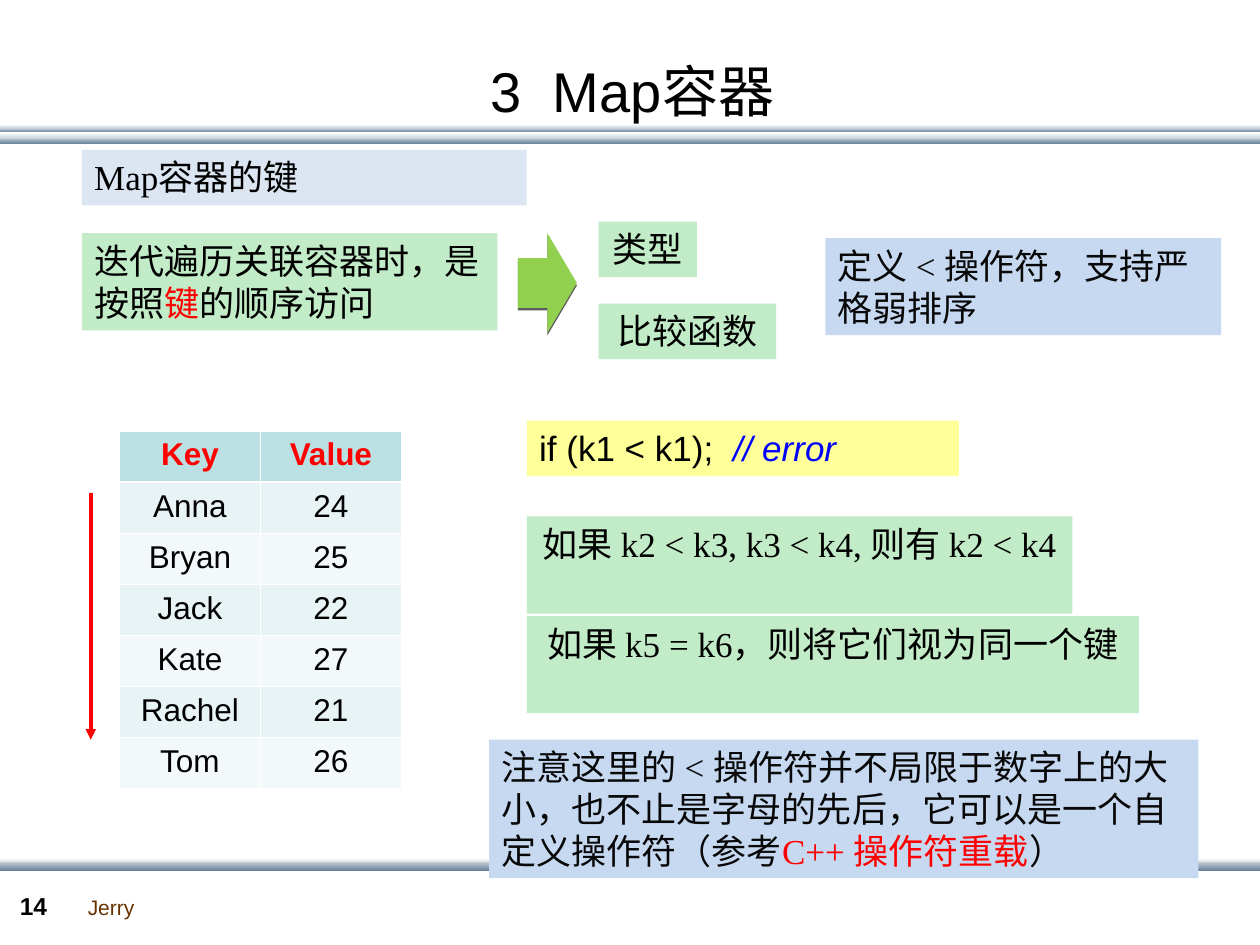
"""Build the slide about the keys of the Map container."""
from dataclasses import dataclass
from typing import Any, Optional

from lxml.etree import SubElement
from pptx import Presentation
from pptx.dml.color import RGBColor
from pptx.enum.shapes import MSO_CONNECTOR as Connector, MSO_SHAPE as Preset
from pptx.enum.text import MSO_ANCHOR as Anchor, MSO_AUTO_SIZE as AutoSize, PP_ALIGN as Align
from pptx.oxml import parse_xml
from pptx.oxml.ns import nsdecls, qn
from pptx.util import Cm, Pt

SERIF, SANS = "Times New Roman", "Arial"
BLACK, INK, RED, BLUE, WHITE = "000000", "080808", "FF0000", "0000FF", "FFFFFF"
GREEN, PALE_BLUE, SILVER, STEEL = "C2EBC7", "C6D9F1", "C8D1DA", "6A839C"


@dataclass(frozen=True)
class Phrase:
    text: str
    color: str = BLACK
    italic: bool = False
    bold: bool = False


@dataclass(frozen=True)
class Box:
    left: float
    top: float
    width: float
    height: float
    phrases: tuple[Phrase, ...]
    fill: Optional[str] = GREEN
    align: Align = Align.LEFT
    font: str = SERIF
    size: int = 20
    wrap: bool = True


@dataclass(frozen=True)
class Band:
    top: float
    height: float
    start: str
    end: str


BANDS = (
    Band(2.77, 0.13, SILVER, STEEL),
    Band(2.59, 0.08, SILVER, STEEL),
    Band(2.67, 0.13, WHITE, SILVER),
    Band(2.51, 0.08, WHITE, SILVER),
    Band(17.3, 0.13, WHITE, SILVER),
    Band(17.37, 0.18, SILVER, STEEL),
)
FOOTER = (
    Box(1.52, 17.91, 1.45, 0.76, (Phrase("Jerry", "663300"),), None, font=SANS, size=12, wrap=False),
    Box(0.15, 17.83, 1.4, 0.86, (Phrase("14", bold=True),), None, font=SANS, size=14),
)
BOXES = (
    Box(1.65, 3.02, 8.97, 1.12, (Phrase("Map容器的键"),), "DCE6F2"),
    Box(1.65, 4.7, 8.38, 1.96,
        (Phrase("迭代遍历关联容器时，是按照"), Phrase("键", RED), Phrase("的顺序访问"))),
    Box(12.07, 4.47, 1.98, 1.12, (Phrase("类型"),), align=Align.CENTER),
    Box(12.07, 6.12, 3.58, 1.12, (Phrase("比较函数"),), align=Align.CENTER),
    Box(16.64, 4.8, 7.98, 1.96, (Phrase("定义 < 操作符，支持严格弱排序", INK),), PALE_BLUE),
    Box(10.62, 8.48, 8.71, 1.12,
        (Phrase("if (k1 < k1);  "), Phrase("// error", BLUE, italic=True)), "FFFF99", font=SANS),
    Box(10.62, 10.41, 11, 1.96, (Phrase("如果 k2 < k3, k3 < k4, 则有 k2 < k4"),), align=Align.CENTER),
    Box(10.62, 12.42, 12.34, 1.96, (Phrase("如果 k5 = k6，则将它们视为同一个键"),), align=Align.CENTER),
    Box(9.86, 14.91, 14.3, 2.79,
        (Phrase("注意这里的 < 操作符并不局限于数字上的大小，也不止是字母的先后，"
                "它可以是一个自定义操作符（参考", INK),
         Phrase("C++ 操作符重载", RED), Phrase("）", INK)), PALE_BLUE),
)
ROWS = (("Key", "Value"), ("Anna", "24"), ("Bryan", "25"), ("Jack", "22"),
        ("Kate", "27"), ("Rachel", "21"), ("Tom", "26"))


def rgb(value: str) -> RGBColor:
    """Turn a hex string into a colour."""
    return RGBColor.from_string(value)


def apply(target: Any, values: dict[str, Any]) -> None:
    """Set every attribute listed in the format values."""
    for name, value in values.items():
        setattr(target, name, value)


def paint(target: Any, color: str) -> None:
    """Give a shape or cell a solid fill."""
    target.fill.solid()
    target.fill.fore_color.rgb = rgb(color)


def write(frame: Any, phrases: tuple[Phrase, ...], font: str, size: int, align: Align) -> None:
    """Write formatted runs into the first paragraph."""
    paragraph = frame.paragraphs[0]
    paragraph.alignment = align
    for phrase in phrases:
        run = paragraph.add_run()
        run.text = phrase.text
        apply(run.font, {"name": font, "size": Pt(size), "bold": phrase.bold,
                         "italic": phrase.italic})
        run.font.color.rgb = rgb(phrase.color)


def add_band(slide: Any, band: Band) -> None:
    """Draw a full-width strip shaded from top to bottom."""
    shape = slide.shapes.add_shape(Preset.RECTANGLE, 0, Cm(band.top), Cm(25.4), Cm(band.height))
    shape.shadow.inherit = False
    shape.line.fill.background()
    shape.fill.gradient()
    shape.fill.gradient_angle = 270
    for stop, color in zip(shape.fill.gradient_stops, (band.start, band.end)):
        stop.color.rgb = rgb(color)


def add_box(slide: Any, box: Box) -> None:
    """Draw a text box, filled when it has a colour."""
    place = [Cm(length) for length in (box.left, box.top, box.width, box.height)]
    if box.fill:
        shape = slide.shapes.add_shape(Preset.RECTANGLE, *place)
        shape.shadow.inherit = False
        shape.line.fill.background()
        paint(shape, box.fill)
    else:
        shape = slide.shapes.add_textbox(*place)
    apply(shape.text_frame, {"word_wrap": box.wrap, "auto_size": AutoSize.SHAPE_TO_FIT_TEXT,
                             "vertical_anchor": Anchor.TOP})
    write(shape.text_frame, box.phrases, box.font, box.size, box.align)


def add_block_arrow(slide: Any) -> None:
    """Draw the green arrow with its hard shadow."""
    shape = slide.shapes.add_shape(Preset.RIGHT_ARROW, Cm(10.44), Cm(4.7), Cm(1.19), Cm(2.01))
    shape.line.fill.background()
    paint(shape, "92D050")
    shape.shadow.inherit = False
    effects = shape.element.spPr.find(qn("a:effectLst"))
    effects.append(parse_xml(
        f'<a:outerShdw {nsdecls("a")} blurRad="0" dist="{Pt(1.5)}" dir="5400000" rotWithShape="0">'
        '<a:srgbClr val="000000"><a:alpha val="63000"/></a:srgbClr></a:outerShdw>'))


def add_order_arrow(slide: Any) -> None:
    """Draw the red arrow that shows the key order."""
    arrow = slide.shapes.add_connector(Connector.STRAIGHT, Cm(1.83), Cm(9.93), Cm(1.83), Cm(14.91))
    arrow.line.color.rgb = rgb(RED)
    arrow.line.width = Pt(2)
    properties = arrow.element.spPr
    SubElement(properties.find(qn("a:ln")), qn("a:tailEnd"), type="triangle")
    SubElement(properties, qn("a:effectLst"))


def set_borders(cell: Any, widths: dict[str, float]) -> None:
    """Give the cell white borders of the given widths."""
    properties = cell._tc.get_or_add_tcPr()
    for index, (side, width) in enumerate(widths.items()):
        properties.insert(index, parse_xml(
            f'<a:ln{side} {nsdecls("a")} w="{Pt(width)}"><a:solidFill>'
            f'<a:srgbClr val="{WHITE}"/></a:solidFill></a:ln{side}>'))


def add_key_table(slide: Any) -> None:
    """Draw the table of keys and values."""
    table = slide.shapes.add_table(len(ROWS), 2, Cm(2.41), Cm(8.69), Cm(5.68), Cm(7.21)).table
    table.horz_banding = False
    for row_index, texts in enumerate(ROWS):
        header = row_index == 0
        fill = "BBE0E3" if header else ("F3F9FA", "E7F3F4")[row_index % 2]
        widths = {"L": 0.45, "R": 0.45, "T": 1.47 if row_index == 1 else 0.45,
                  "B": 1.47 if header else 0.45}
        for column_index, text in enumerate(texts):
            cell = table.cell(row_index, column_index)
            paint(cell, fill)
            set_borders(cell, widths)
            phrase = Phrase(text, RED if header else BLACK, bold=header)
            write(cell.text_frame, (phrase,), SANS, 18, Align.CENTER)


def main() -> None:
    """Assemble and save the slide."""
    presentation = Presentation()
    apply(presentation, {"slide_width": Cm(25.4), "slide_height": Cm(19.05)})
    slide = presentation.slides.add_slide(presentation.slide_layouts[5])
    for band in BANDS:
        add_band(slide, band)
    for box in FOOTER:
        add_box(slide, box)
    title = slide.shapes.title
    apply(title, {"left": Cm(0.56), "top": Cm(1.12), "width": Cm(24.38), "height": Cm(1.4)})
    apply(title.text_frame, {"vertical_anchor": Anchor.MIDDLE, "auto_size": AutoSize.NONE})
    write(title.text_frame, (Phrase("3  Map容器"),), SANS, 32, Align.CENTER)
    add_block_arrow(slide)
    add_order_arrow(slide)
    add_key_table(slide)
    for box in BOXES:
        add_box(slide, box)
    presentation.save("out.pptx")


if __name__ == "__main__":
    main()
